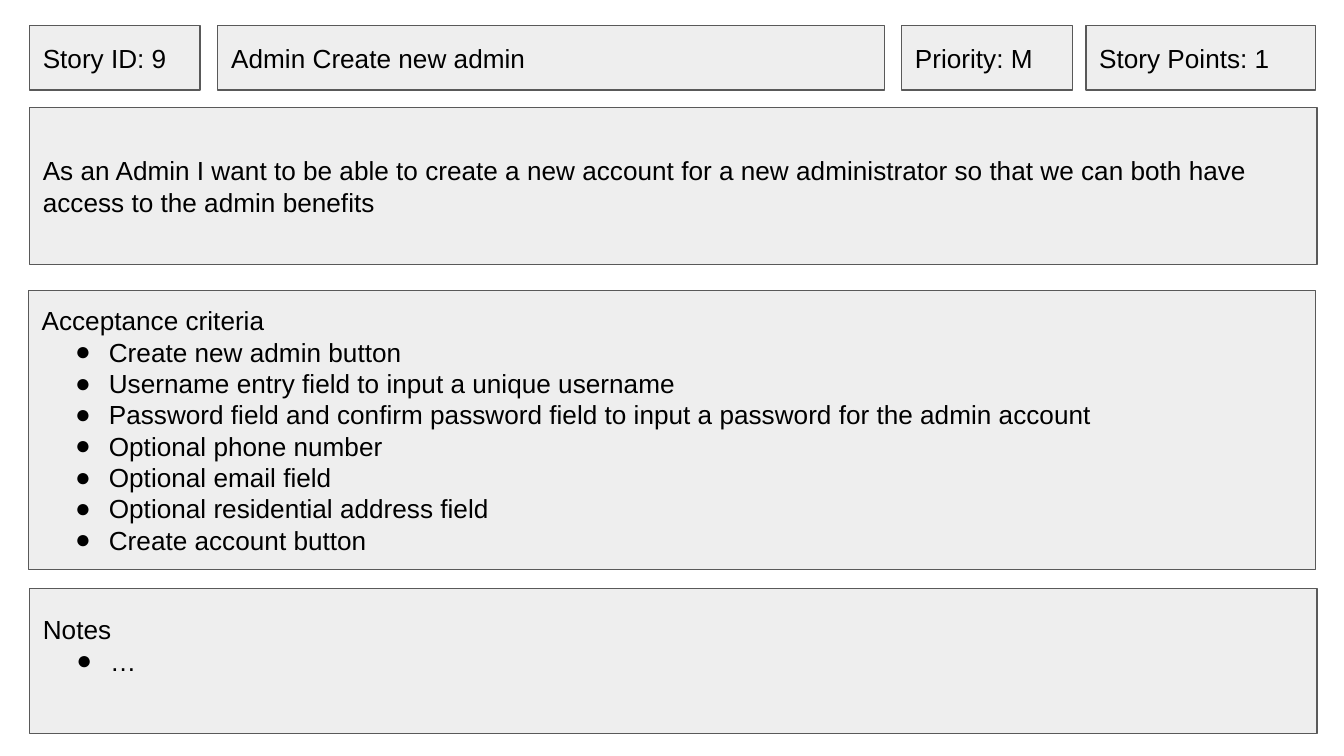
from lxml.etree import SubElement
from pptx import Presentation
from pptx.dml.color import RGBColor
from pptx.enum.shapes import MSO_SHAPE
from pptx.enum.text import MSO_ANCHOR, MSO_AUTO_SIZE, PP_ALIGN
from pptx.oxml.ns import qn
from pptx.util import Inches, Pt

HEADER_TOP, HEADER_HEIGHT = 0.19, 0.48
HEADER = [
    ("box", "Story ID: 9", 0.22, 1.27),
    ("title", "Admin Create new admin", 1.62, 4.96),
    ("box", "Priority: M", 6.71, 1.27),
    ("box", "Story Points: 1", 8.08, 1.71),
]

SECTION_WIDTH = 9.58
SECTIONS = [
    ("box", "As an Admin I want to be able to create a new account for a new "
     "administrator so that we can both have access to the admin benefits",
     [], 0.22, 0.8, 1.17, 0.1),
    ("body", "Acceptance criteria", [
        "Create new admin button",
        "Username entry field to input a unique username",
        "Password field and confirm password field to input a password for the admin account",
        "Optional phone number",
        "Optional email field",
        "Optional residential address field",
        "Create account button",
    ], 0.21, 2.16, 2.08, 0.1),
    ("box", "Notes", ["…"], 0.22, 4.38, 1.08, 0.34),
]

FRAME_FORMAT = {
    "word_wrap": True,
    "auto_size": MSO_AUTO_SIZE.NONE,
    "vertical_anchor": MSO_ANCHOR.MIDDLE,
    "margin_left": Inches(0.1),
    "margin_right": Inches(0.1),
    "margin_top": Inches(0.1),
}
PARAGRAPH_FORMAT = {
    "alignment": PP_ALIGN.LEFT,
    "line_spacing": 1.0,
    "space_before": Pt(0),
    "space_after": Pt(0),
}
FONT_FORMAT = {"name": "Arial", "size": Pt(14)}


def color(hex_value):
    return RGBColor.from_string(hex_value)


def apply(target, formats):
    for attribute, value in formats.items():
        setattr(target, attribute, value)


def set_bullet(paragraph, bulleted):
    properties = paragraph._p.get_or_add_pPr()
    properties.set("marL", str(Inches(0.5 if bulleted else 0)))
    properties.set("indent", str(Inches(-0.25 if bulleted else 0)))
    if bulleted:
        SubElement(properties, qn("a:buFont"), typeface="Arial")
        SubElement(properties, qn("a:buChar"), char="●")
    else:
        SubElement(properties, qn("a:buNone"))


def add_card(slide, role, heading, items, left, top, width, height, bottom_margin=0.1):
    area = [Inches(length) for length in (left, top, width, height)]
    if role == "box":
        card = slide.shapes.add_shape(MSO_SHAPE.RECTANGLE, *area)
        card.shadow.inherit = False
    else:
        card = slide.shapes.title if role == "title" else slide.placeholders[1]
        apply(card, dict(zip(("left", "top", "width", "height"), area)))
    card.fill.solid()
    card.fill.fore_color.rgb = color("EEEEEE")
    card.line.color.rgb = color("595959")
    card.line.width = Pt(0.75)

    frame = card.text_frame
    apply(frame, FRAME_FORMAT)
    frame.margin_bottom = Inches(bottom_margin)
    frame.text = "\n".join([heading, *items])
    for index, paragraph in enumerate(frame.paragraphs):
        apply(paragraph, PARAGRAPH_FORMAT)
        set_bullet(paragraph, index > 0)
        for run in paragraph.runs:
            apply(run.font, FONT_FORMAT)
            run.font.color.rgb = color("000000")


def main():
    deck = Presentation()
    deck.slide_width = Inches(10)
    deck.slide_height = deck.slide_width * 9 // 16
    story = deck.slides.add_slide(deck.slide_layouts[1])
    for role, label, left, width in HEADER:
        add_card(story, role, label, [], left, HEADER_TOP, width, HEADER_HEIGHT)
    for role, heading, items, left, top, height, bottom_margin in SECTIONS:
        add_card(story, role, heading, items, left, top, SECTION_WIDTH, height, bottom_margin)
    deck.save("out.pptx")


if __name__ == "__main__":
    main()
